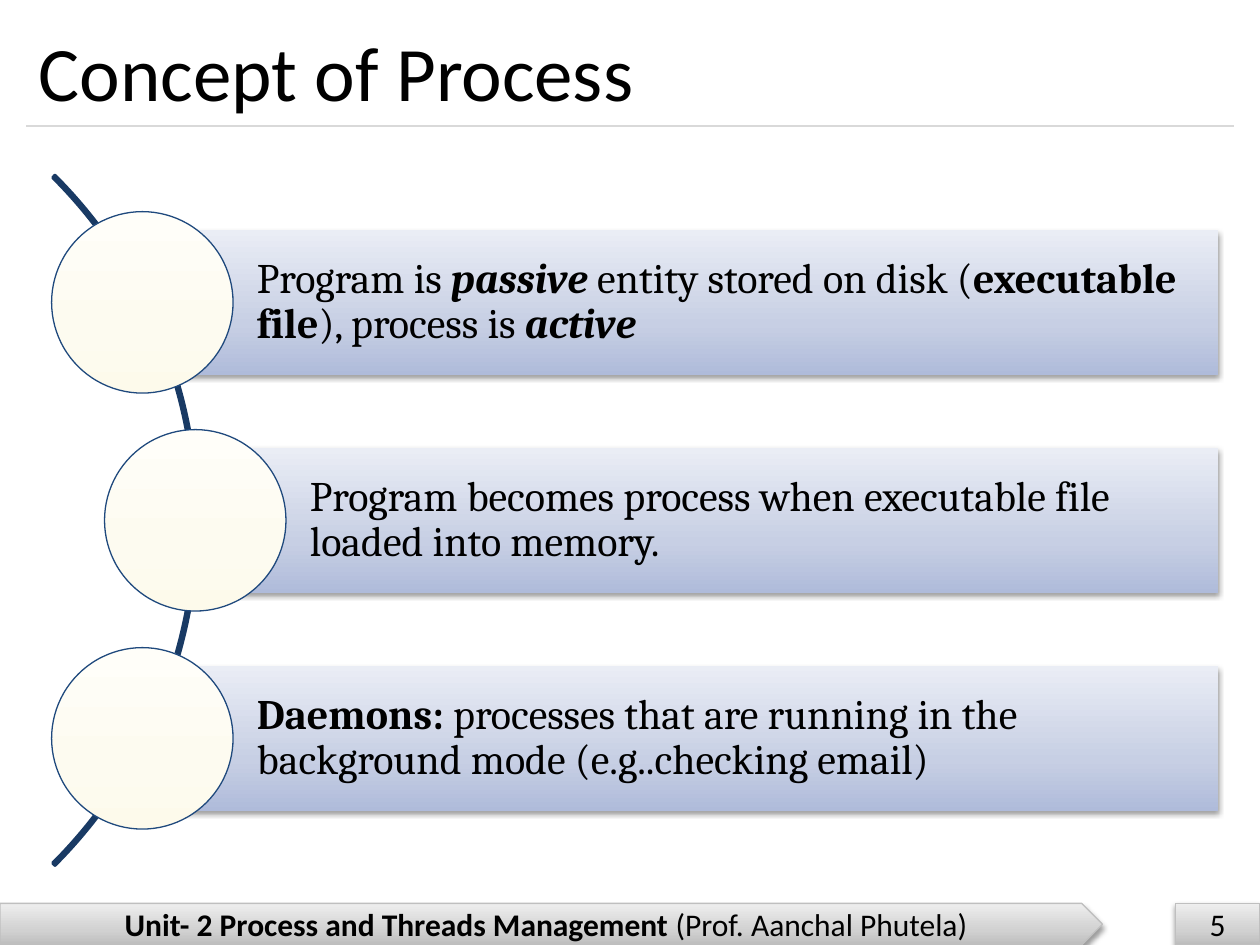
from copy import deepcopy
from dataclasses import dataclass

from lxml import etree
from pptx import Presentation
from pptx.dml.color import RGBColor
from pptx.enum.shapes import MSO_CONNECTOR, MSO_SHAPE
from pptx.enum.text import MSO_ANCHOR, PP_ALIGN
from pptx.oxml.ns import qn
from pptx.util import Inches, Pt

RECT, OVAL = MSO_SHAPE.RECTANGLE, MSO_SHAPE.OVAL
PENTAGON, ARC = MSO_SHAPE.PENTAGON, MSO_SHAPE.BLOCK_ARC
STRAIGHT = MSO_CONNECTOR.STRAIGHT
MIDDLE = MSO_ANCHOR.MIDDLE
LEFT, CENTER = PP_ALIGN.LEFT, PP_ALIGN.CENTER


@dataclass(frozen=True)
class Theme:
    ink: str = "000000"
    rule: str = "D9D9D9"
    arc: str = "193A64"
    circle_line: str = "1F497D"
    footer_line: str = "BFBFBF"
    footer_fill: tuple = ("BDBDBD", "D1D1D1", "EEEEEE")
    band_fill: tuple = ("AFBBDA", "C7CFE4", "EAEDF5")
    circle_fill: tuple = ("FDFAEB", "FDFBF0", "FFFEF9")
    stops: tuple = (0, 0.35, 1)
    heading_font: str = "Calibri"
    body_font: str = "Cambria"
    title_size: int = 44
    body_size: int = 24
    footer_size: int = 18
    thin: float = 0.75
    thick: float = 2


@dataclass(frozen=True)
class Run:
    text: str
    bold: bool = False
    italic: bool = False


@dataclass(frozen=True)
class Point:
    center_x: float
    runs: tuple


THEME = Theme()
BAND_RIGHT, BAND_HEIGHT = 9.67, 1.15
CIRCLE_SIZE = 1.44
FIRST_CENTER_Y, PITCH = 2.4, 1.73
POINTS = (
    Point(1.13, (
        Run("Program is "), Run("passive", True, True),
        Run(" entity stored on disk ("), Run("executable file", True),
        Run("), process is "), Run("active", True, True),
    )),
    Point(1.55, (
        Run("Program becomes process when executable file loaded into memory."),
    )),
    Point(1.13, (
        Run("Daemons: ", True),
        Run("processes that are running in the background mode "
            "(e.g..checking email)"),
    )),
)


def set_gradient(s, colors: tuple) -> None:
    s.fill.gradient()
    s.fill.gradient_angle = 90
    stop_list = s._element.spPr.find(".//" + qn("a:gsLst"))
    stop_list.append(deepcopy(stop_list[-1]))
    for stop, position, color in zip(s.fill.gradient_stops, THEME.stops, colors):
        stop.position = position
        stop.color.rgb = RGBColor.from_string(color)


def add_shadow(s) -> None:
    effects = s._element.spPr.find(qn("a:effectLst"))
    shadow = etree.SubElement(
        effects, qn("a:outerShdw"), blurRad=str(Pt(3.1)), dist=str(Pt(1.6)),
        dir="5400000", rotWithShape="0")
    color = etree.SubElement(shadow, qn("a:srgbClr"), val=THEME.ink)
    etree.SubElement(color, qn("a:alpha"), val="38000")


def set_line(s, color: str, width: float) -> None:
    s.line.color.rgb = RGBColor.from_string(color)
    s.line.width = Pt(width)


def add_shape(slide, kind, left: float, top: float, width: float, height: float,
              fill: tuple = (), line: str = "", line_width: float = THEME.thin,
              shadow: bool = False):
    s = slide.shapes.add_shape(
        kind, Inches(left), Inches(top), Inches(width), Inches(height))
    s.shadow.inherit = False
    if fill:
        set_gradient(s, fill)
    else:
        s.fill.background()
    if line:
        set_line(s, line, line_width)
    else:
        s.line.fill.background()
    if shadow:
        add_shadow(s)
    return s


def write_text(s, runs: tuple, *, font: str, size: int, align=LEFT,
               line_spacing: float = 1.0, insets: tuple = (0.1, 0.05, 0.1, 0.05)) -> None:
    tf = s.text_frame
    tf.word_wrap = True
    tf.vertical_anchor = MIDDLE
    tf.margin_left, tf.margin_top, tf.margin_right, tf.margin_bottom = map(Inches, insets)
    p = tf.paragraphs[0]
    p.alignment = align
    p.line_spacing = line_spacing
    for run in runs:
        r = p.add_run()
        r.text = run.text
        r.font.name = font
        r.font.size = Pt(size)
        r.font.bold = run.bold
        r.font.italic = run.italic
        r.font.color.rgb = RGBColor.from_string(THEME.ink)


def add_footer(slide, kind, left: float, width: float, runs: tuple) -> None:
    s = add_shape(slide, kind, left, 7.17, width, 0.33, fill=THEME.footer_fill,
                  line=THEME.footer_line, shadow=True)
    write_text(s, runs, font=THEME.heading_font, size=THEME.footer_size, align=CENTER)


def add_title(slide, text: str) -> None:
    rule = slide.shapes.add_connector(
        STRAIGHT, Inches(0.21), Inches(1), Inches(9.79), Inches(1))
    set_line(rule, THEME.rule, THEME.thin)
    etree.SubElement(rule._element.spPr, qn("a:effectLst"))
    title = slide.shapes.add_textbox(
        Inches(0.21), Inches(0.12), Inches(9.58), Inches(0.88))
    write_text(title, (Run(text),), font=THEME.heading_font, size=THEME.title_size)


def add_arc(slide) -> None:
    arc = add_shape(slide, ARC, -6.17, 0.26, 7.74, 7.74,
                    line=THEME.arc, line_width=THEME.thick)
    for index, value in enumerate((189, 27, 0.003)):
        arc.adjustments[index] = value


def add_point(slide, point: Point, center_y: float) -> None:
    band = add_shape(slide, RECT, point.center_x, center_y - BAND_HEIGHT / 2,
                     BAND_RIGHT - point.center_x, BAND_HEIGHT,
                     fill=THEME.band_fill, shadow=True)
    write_text(band, point.runs, font=THEME.body_font, size=THEME.body_size,
               line_spacing=0.9, insets=(0.91, 0.07, 0.07, 0.07))
    add_shape(slide, OVAL, point.center_x - CIRCLE_SIZE / 2,
              center_y - CIRCLE_SIZE / 2, CIRCLE_SIZE, CIRCLE_SIZE,
              fill=THEME.circle_fill, line=THEME.circle_line)


def main() -> None:
    prs = Presentation()
    prs.slide_width, prs.slide_height = Inches(10), Inches(7.5)
    slide = prs.slides.add_slide(prs.slide_layouts[6])
    add_footer(slide, PENTAGON, 0, 8.75, (
        Run("Unit- 2 Process and Threads Management ", True),
        Run("(Prof. Aanchal Phutela)"),
    ))
    add_footer(slide, RECT, 9.33, 0.67, (Run("5"),))
    add_title(slide, "Concept of Process")
    add_arc(slide)
    for index, point in enumerate(POINTS):
        add_point(slide, point, FIRST_CENTER_Y + index * PITCH)
    prs.save("out.pptx")


if __name__ == "__main__":
    main()
